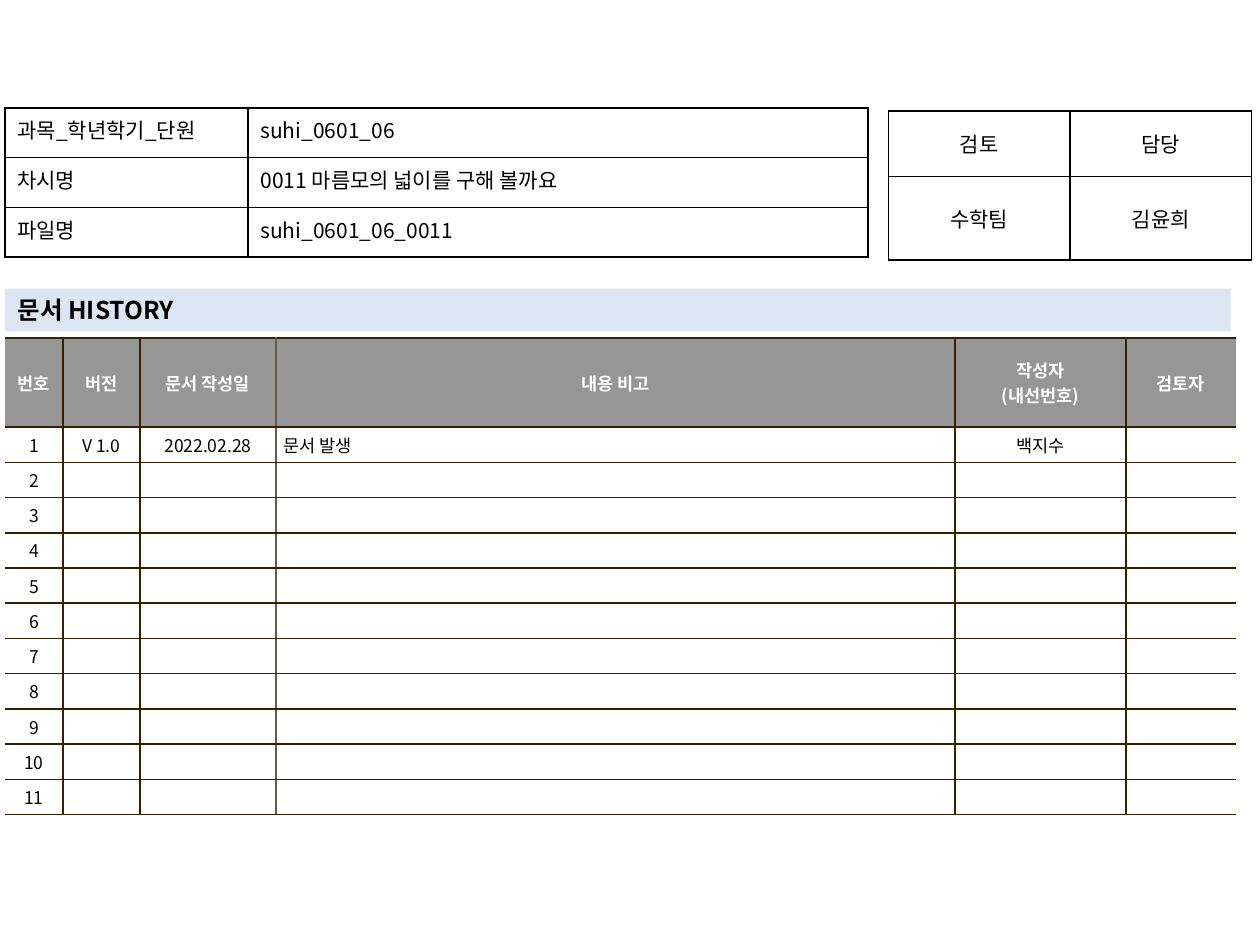
from lxml.etree import SubElement
from pptx import Presentation
from pptx.dml.color import RGBColor
from pptx.enum.text import MSO_ANCHOR, MSO_AUTO_SIZE, PP_ALIGN
from pptx.oxml.ns import qn
from pptx.util import Cm, Pt

FONT = "Noto Sans CJK KR"
BLACK = RGBColor(0x00, 0x00, 0x00)
WHITE = RGBColor(0xFF, 0xFF, 0xFF)
GRAY = RGBColor(0x96, 0x96, 0x96)
PALE_BLUE = RGBColor(0xDC, 0xE6, 0xF2)
BROWN = RGBColor(0x36, 0x20, 0x00)
TAUPE = RGBColor(0x64, 0x5B, 0x4C)

INFO = [
    ["과목_학년학기_단원", "suhi_0601_06"],
    ["차시명", "0011 마름모의 넓이를 구해 볼까요"],
    ["파일명", "suhi_0601_06_0011"],
]
REVIEW = [["검토", "담당"], ["수학팀", "김윤희"]]
HISTORY_HEAD = ["번호", "버전", "문서 작성일", "내용 비고", "작성자\n(내선번호)", "검토자"]
FIRST_ENTRY = ["1", "V 1.0", "2022.02.28", "문서 발생", "백지수", ""]
HISTORY_ROWS = 11
NOTE_COL = 3


def format_text(tf, size, color=BLACK, bold=False, align=PP_ALIGN.LEFT):
    for p in tf.paragraphs:
        p.alignment = align
        for r in p.runs:
            r.font.name = FONT
            r.font.size = Pt(size)
            r.font.bold = bold
            r.font.color.rgb = color
            SubElement(r.font._element, qn("a:ea"), typeface=FONT)
        if not p.runs:
            SubElement(p._p, qn("a:endParaRPr"), sz=str(size * 100))


def set_borders(cell, left, right, top, bottom):
    """Draw 1 pt borders; a side given as None stays open."""
    tcPr = cell._tc.get_or_add_tcPr()
    for side, color in zip("LRTB", (left, right, top, bottom)):
        ln = SubElement(tcPr, qn(f"a:ln{side}"), w=str(Pt(1)))
        if color is None:
            SubElement(ln, qn("a:noFill"))
        else:
            fill = SubElement(ln, qn("a:solidFill"))
            SubElement(fill, qn("a:srgbClr"), val=str(color))


def set_margins(cell, x, y):
    cell.margin_left = cell.margin_right = Cm(x)
    cell.margin_top = cell.margin_bottom = Cm(y)


def add_grid(s, left, top, widths, heights, texts):
    """Add a plain table and return its cells row by row."""
    frame = s.shapes.add_table(len(heights), len(widths), Cm(left), Cm(top),
                               Cm(sum(widths)), Cm(sum(heights)))
    table = frame.table
    table.first_row = table.horz_banding = False
    for column, width in zip(table.columns, widths):
        column.width = Cm(width)
    for row, height in zip(table.rows, heights):
        row.height = Cm(height)
    cells = [list(row.cells) for row in table.rows]
    for row, row_texts in zip(cells, texts):
        for cell, text in zip(row, row_texts):
            cell.text_frame.text = text
    return cells


def add_info(s, left, top):
    for row in add_grid(s, left, top, [4.9, 12.5], [1] * len(INFO), INFO):
        for cell, align in zip(row, (PP_ALIGN.JUSTIFY, PP_ALIGN.LEFT)):
            set_borders(cell, BLACK, BLACK, BLACK, BLACK)
            cell.fill.background()
            set_margins(cell, 0.25, 0.13)
            format_text(cell.text_frame, 12, align=align)


def add_review(s, left, top):
    for row in add_grid(s, left, top, [3.66] * 2, [1.32, 1.68], REVIEW):
        for cell in row:
            set_borders(cell, BLACK, BLACK, BLACK, BLACK)
            cell.fill.background()
            cell.vertical_anchor = MSO_ANCHOR.MIDDLE
            set_margins(cell, 0.25, 0.13)
            format_text(cell.text_frame, 12, align=PP_ALIGN.CENTER)


def add_heading(s, left, top, width, height):
    title = s.shapes.title
    title.left, title.top = Cm(left), Cm(top)
    title.width, title.height = Cm(width), Cm(height)
    title.fill.solid()
    title.fill.fore_color.rgb = PALE_BLUE
    tf = title.text_frame
    tf.text = "문서 HISTORY"
    tf.word_wrap = True
    tf.auto_size = MSO_AUTO_SIZE.NONE
    tf.vertical_anchor = MSO_ANCHOR.MIDDLE
    format_text(tf, 14, bold=True)


def add_history(s, left, top):
    widths = [1.17, 1.55, 2.74, 13.69, 3.45, 2.21]
    heights = [1.8] + [0.71] * HISTORY_ROWS
    blank_rows = [[str(n)] + [""] * (len(widths) - 1) for n in range(2, HISTORY_ROWS + 1)]
    cells = add_grid(s, left, top, widths, heights,
                     [HISTORY_HEAD, FIRST_ENTRY] + blank_rows)
    # Vertical rules from left to right; the outer sides are open.
    rules = [None, BROWN, BROWN, TAUPE, BROWN, BROWN, None]
    for i, row in enumerate(cells):
        head = i == 0
        for j, cell in enumerate(row):
            set_borders(cell, rules[j], rules[j + 1], BROWN, BROWN)
            cell.fill.solid()
            cell.fill.fore_color.rgb = GRAY if head else WHITE
            cell.vertical_anchor = MSO_ANCHOR.MIDDLE
            set_margins(cell, 0.15, 0.1)
            note = j == NOTE_COL and not head
            format_text(cell.text_frame, 10, WHITE if head else BLACK, head,
                        PP_ALIGN.LEFT if note else PP_ALIGN.CENTER)


def main():
    prs = Presentation()
    prs.slide_width, prs.slide_height = Cm(25.4), Cm(19.05)
    s = prs.slides.add_slide(prs.slide_layouts[5])
    add_history(s, 0.1, 6.81)
    add_review(s, 17.91, 2.24)
    add_heading(s, 0.1, 5.82, 24.71, 0.86)
    add_info(s, 0.1, 2.18)
    prs.save("out.pptx")


if __name__ == "__main__":
    main()
